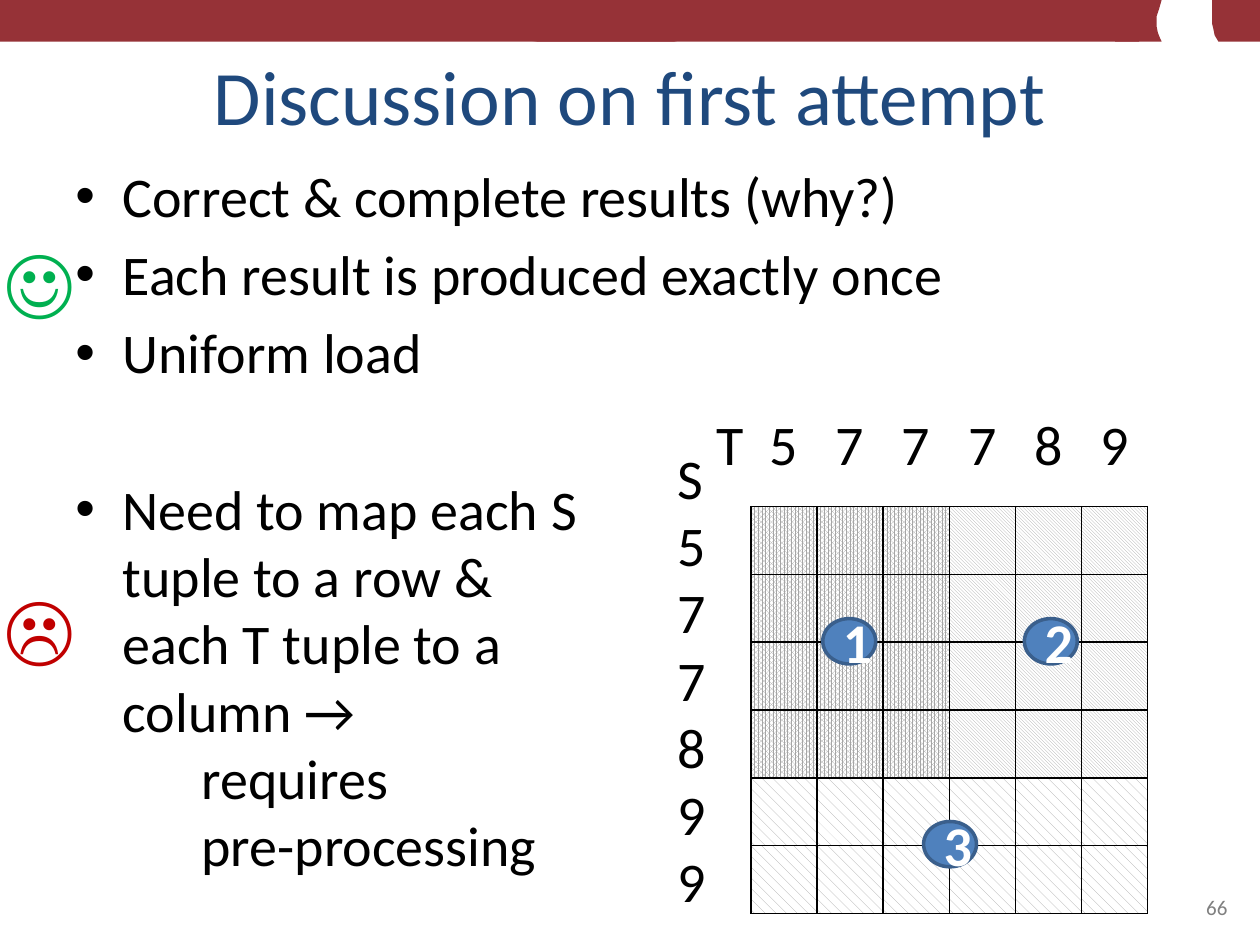
import pptx
import pptx.util
import pptx.dml.color
import pptx.enum.dml
import pptx.enum.shapes
import pptx.enum.text
import pptx.oxml
import pptx.oxml.ns
from lxml import etree

Inches, Pt = pptx.util.Inches, pptx.util.Pt
ALIGN, ANCHOR = pptx.enum.text.PP_ALIGN, pptx.enum.text.MSO_ANCHOR
SHAPE, PATTERN = pptx.enum.shapes.MSO_SHAPE, pptx.enum.dml.MSO_PATTERN
RGB = pptx.dml.color.RGBColor.from_string
qn = pptx.oxml.ns.qn
COLORS = {
    "bar": "963237", "title": "1F497D", "text": "000000", "white": "FFFFFF",
    "number": "808080", "hatch": "A6A6A6", "oval": "4F81BD", "edge": "3A5F8C",
    "good": "00B050", "bad": "C00000",
}


def add_run(p, text, size=32, color="text", bold=False):
    r = p.add_run()
    r.text = text
    r.font.name, r.font.size, r.font.bold = "Calibri", Pt(size), bold
    r.font.color.rgb = RGB(COLORS[color])


def add_box(x, y, w, h, wrap=True, anchor=ANCHOR.TOP):
    tf = s.shapes.add_textbox(Inches(x), Inches(y), Inches(w), Inches(h)).text_frame
    tf.word_wrap, tf.vertical_anchor = wrap, anchor
    return tf


prs = pptx.Presentation()
prs.slide_width, prs.slide_height = Inches(10), Inches(7.5)
s = prs.slides.add_slide(prs.slide_layouts[6])

bar_pieces = [
    [(8.85, 0), (9.22, 0), (9.2, 0.07), (9.18, 0.13), (9.18, 0.21),
     (9.19, 0.26), (9.21, 0.31), (9.22, 0.33), (8.85, 0.33)],
    [(9.62, 0), (10, 0), (10, 0.33), (9.67, 0.33), (9.64, 0.28),
     (9.63, 0.23), (9.62, 0.19)],
    [(0, 0), (5.37, 0), (4.98, 0.07), (4.78, 0.13), (4.75, 0.18),
     (4.84, 0.24), (5.07, 0.29), (5.37, 0.33), (0, 0.33)],
    [(3.6, 0), (9.05, 0), (9.04, 0.33), (4.26, 0.33), (3.87, 0.28),
     (3.68, 0.23), (3.6, 0.19)],
]
for points in bar_pieces:
    outline = [(Inches(x), Inches(y)) for x, y in points]
    fb = s.shapes.build_freeform(*outline[0])
    fb.add_line_segments(outline[1:])
    sp = fb.convert_to_shape()
    sp.shadow.inherit = False
    sp.fill.solid()
    sp.fill.fore_color.rgb = RGB(COLORS["bar"])
    sp.line.fill.background()

p = add_box(0.5, 0.3, 9, 0.87, anchor=ANCHOR.BOTTOM).paragraphs[0]
p.alignment = ALIGN.CENTER
add_run(p, "Discussion on first attempt", 44, "title")

bullets = [
    (0, ["Correct & complete results (why?)"]),
    (6.4, ["Each result is produced exactly once"]),
    (6.4, ["Uniform load"]),
    (51, ["Need to map each S ", "tuple to a row & ", "each T tuple to a ",
          "column → ", "\trequires ", "\tpre-processing"]),
]
hang = Inches(3 / 8)
tf = add_box(0.5, 1.23, 9, 5.9)
for i, (gap, lines) in enumerate(bullets):
    p = tf.add_paragraph() if i else tf.paragraphs[0]
    pPr = p._p.get_or_add_pPr()
    pPr.set("marL", str(hang))
    pPr.set("indent", str(-hang))
    etree.SubElement(pPr, qn("a:buFont"), typeface="Arial")
    etree.SubElement(pPr, qn("a:buChar"), char="•")
    tabs = etree.SubElement(pPr, qn("a:tabLst"))
    etree.SubElement(tabs, qn("a:tab"), pos=str(Inches(1)), algn="l")
    p.space_before = Pt(gap)
    for j, line in enumerate(lines):
        if j:
            p.add_line_break()
        add_run(p, line)

p = add_box(7.17, 6.83, 2.67, 0.52, anchor=ANCHOR.BOTTOM).paragraphs[0]
p.alignment = ALIGN.RIGHT
add_run(p, "66", 12, "number")

n = 6
tbl = s.shapes.add_table(n, n, Inches(5.96), Inches(4.02), Inches(3.15), Inches(3.23)).table
tbl.first_row = tbl.horz_banding = False
for row in range(n):
    for col in range(n):
        cell = tbl.cell(row, col)
        tcPr = cell._tc.get_or_add_tcPr()
        for side in ("lnL", "lnR", "lnT", "lnB"):
            ln = etree.SubElement(tcPr, qn("a:" + side), w=str(Pt(1)))
            fill = etree.SubElement(ln, qn("a:solidFill"))
            etree.SubElement(fill, qn("a:srgbClr"), val=COLORS["text"])
        cell.fill.patterned()
        if row >= 4:
            cell.fill.pattern = PATTERN.DASHED_DOWNWARD_DIAGONAL
        elif col >= 3:
            cell.fill.pattern = PATTERN.LIGHT_DOWNWARD_DIAGONAL
        else:
            cell.fill.pattern = PATTERN.PERCENT_80
        cell.fill.fore_color.rgb = RGB(COLORS["hatch"])
        cell.fill.back_color.rgb = RGB(COLORS["white"])

tf = add_box(5.28, 3.47, 0.43, 3.87, wrap=False)
for i, label in enumerate("S577899"):
    p = tf.add_paragraph() if i else tf.paragraphs[0]
    add_run(p, label)

p = add_box(5.59, 3.2, 3.9, 0.64).paragraphs[0]
tabs = etree.SubElement(p._p.get_or_add_pPr(), qn("a:tabLst"))
for i in range(n):
    etree.SubElement(tabs, qn("a:tab"), pos=str(Inches(0.42 + i * 3.15 / n)), algn="l")
add_run(p, "\t".join("T577789"))

for label, x, y in [("1", 6.53, 4.91), ("2", 8.13, 4.91), ("3", 7.33, 6.52)]:
    sp = s.shapes.add_shape(SHAPE.OVAL, Inches(x), Inches(y), Inches(0.42), Inches(0.36))
    sp.shadow.inherit = False
    sp.fill.solid()
    sp.fill.fore_color.rgb = RGB(COLORS["oval"])
    sp.line.color.rgb = RGB(COLORS["edge"])
    sp.line.width = Pt(2)
    sp.text_frame.vertical_anchor = ANCHOR.MIDDLE
    p = sp.text_frame.paragraphs[0]
    p.alignment = ALIGN.CENTER
    add_run(p, label, color="white", bold=True)

for face, y, color in [("☺", 1.8, "good"), ("☹", 4.55, "bad")]:
    p = add_box(-0.06, y, 0.73, 0.84, wrap=False).paragraphs[0]
    add_run(p, face, 44, color)

prs.save("out.pptx")
